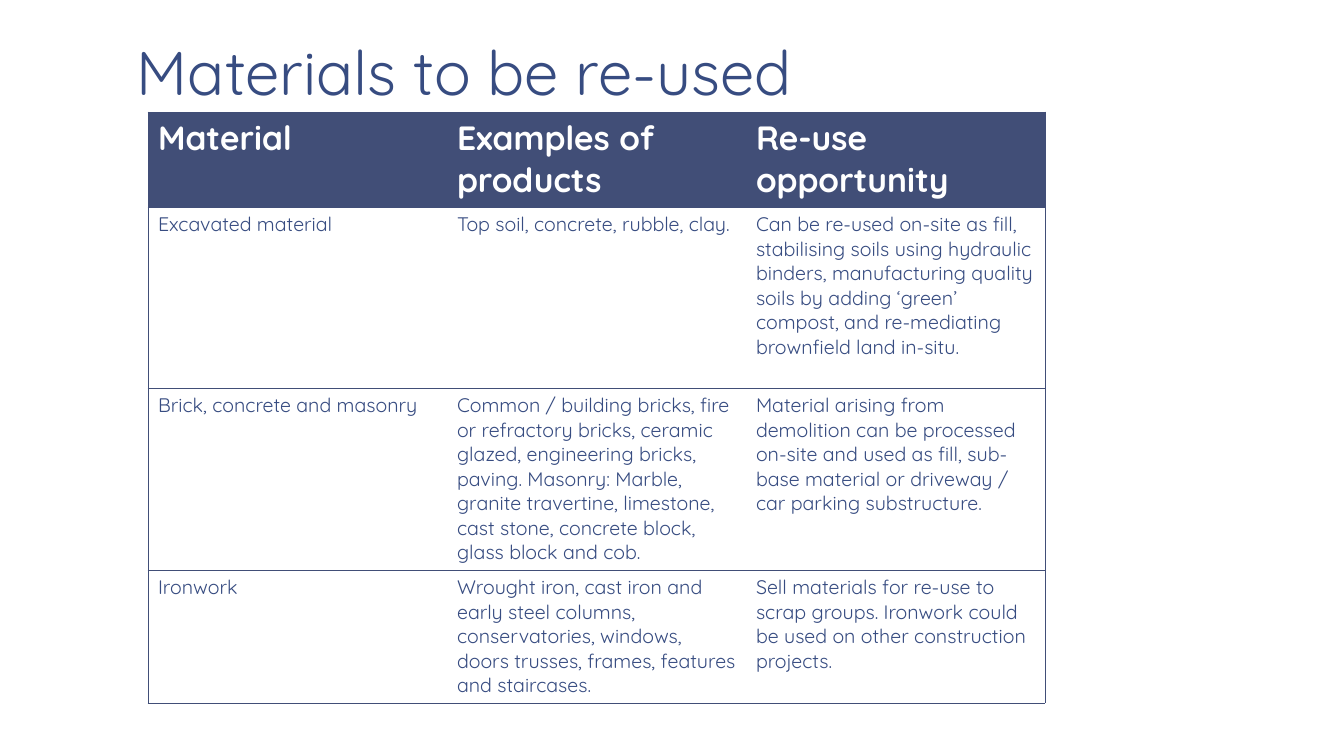
from lxml import etree
from pptx import Presentation
from pptx.dml.color import RGBColor
from pptx.enum.text import MSO_ANCHOR
from pptx.oxml.ns import qn
from pptx.util import Pt

PX = 914400 / 100.8
FONT = "Quicksand"
COLORS = {"page": "FFFFFF", "ink": "374C81", "header": "414E77", "header_text": "FFFFFF"}
BOTTOM = MSO_ANCHOR.BOTTOM
BLANK_LAYOUT = 6
BORDER_WIDTH = Pt(0.5)

ROW_HEIGHTS = [95, 181, 182, 133]
ROWS = [
    ["Material", "Examples of products", "Re-use opportunity"],
    ["Excavated material",
     "Top soil, concrete, rubble, clay.",
     "Can be re-used on-site as fill, stabilising soils using hydraulic binders, "
     "manufacturing quality soils by adding ‘green’ compost, and re-mediating "
     "brownfield land in-situ."],
    ["Brick, concrete and masonry",
     "Common / building bricks, fire or refractory bricks, ceramic glazed, "
     "engineering bricks, paving. Masonry: Marble, granite travertine, limestone, "
     "cast stone, concrete block, glass block and cob.",
     "Material arising from demolition can be processed on-site and used as fill, "
     "sub-base material or driveway / car parking substructure."],
    ["Ironwork",
     "Wrought iron, cast iron and early steel columns, conservatories, windows, "
     "doors trusses, frames, features and staircases.",
     "Sell materials for re-use to scrap groups. Ironwork could be used on other "
     "construction projects."],
]


def px(length):
    return round(length * PX)


def color(name):
    return RGBColor.from_string(COLORS[name])


def add_run(para, text, size, color_name, bold=False):
    run = para.add_run()
    run.text = text
    run.font.name = FONT
    run.font.size = Pt(size)
    run.font.bold = bold
    run.font.color.rgb = color(color_name)


def set_borders(cell, visible_sides):
    """Draw the named sides (L, R, T, B) and hide the others."""
    properties = cell._tc.get_or_add_tcPr()
    for index, side in enumerate("LRTB"):
        line = etree.Element(qn(f"a:ln{side}"), w=str(BORDER_WIDTH))
        if side in visible_sides:
            fill = etree.SubElement(line, qn("a:solidFill"))
            etree.SubElement(fill, qn("a:srgbClr"), val=COLORS["header"])
        else:
            etree.SubElement(line, qn("a:noFill"))
        properties.insert(index, line)


def add_title(page, left, top, width, height):
    box = page.shapes.add_textbox(px(left), px(top), px(width), px(height))
    frame = box.text_frame
    frame.word_wrap = True
    frame.vertical_anchor = BOTTOM
    frame.margin_left = frame.margin_right = px(13)
    frame.margin_top = frame.margin_bottom = px(7)
    para = frame.paragraphs[0]
    para.line_spacing = 0.85
    add_run(para, "Materials to be re-used", 44, "ink")


def add_materials_table(page, left, top, width):
    column_count = len(ROWS[0])
    table = page.shapes.add_table(len(ROWS), column_count, px(left), px(top),
                                  px(width), px(sum(ROW_HEIGHTS))).table
    table.horz_banding = False
    for column in table.columns:
        column.width = px(width // column_count)
    for row_index, (texts, height) in enumerate(zip(ROWS, ROW_HEIGHTS)):
        table.rows[row_index].height = px(height)
        is_header = row_index == 0
        for column_index, text in enumerate(texts):
            cell = table.cell(row_index, column_index)
            para = cell.text_frame.paragraphs[0]
            if is_header:
                cell.fill.solid()
                cell.fill.fore_color.rgb = color("header")
                add_run(para, text, 24, "header_text", bold=True)
            else:
                cell.fill.background()
                add_run(para, text, 14, "ink")
            sides = "TB"
            if column_index == 0:
                sides += "L"
            if column_index == column_count - 1:
                sides += "R"
            set_borders(cell, sides)


def build_materials_page(deck):
    page = deck.slides.add_slide(deck.slide_layouts[BLANK_LAYOUT])
    page.background.fill.solid()
    page.background.fill.fore_color.rgb = color("page")
    add_title(page, 124, 29, 1120, 86)
    add_materials_table(page, 148, 112, 897)


def main():
    deck = Presentation()
    deck.slide_width = px(1344)
    deck.slide_height = px(756)
    build_materials_page(deck)
    deck.save("out.pptx")


if __name__ == "__main__":
    main()
